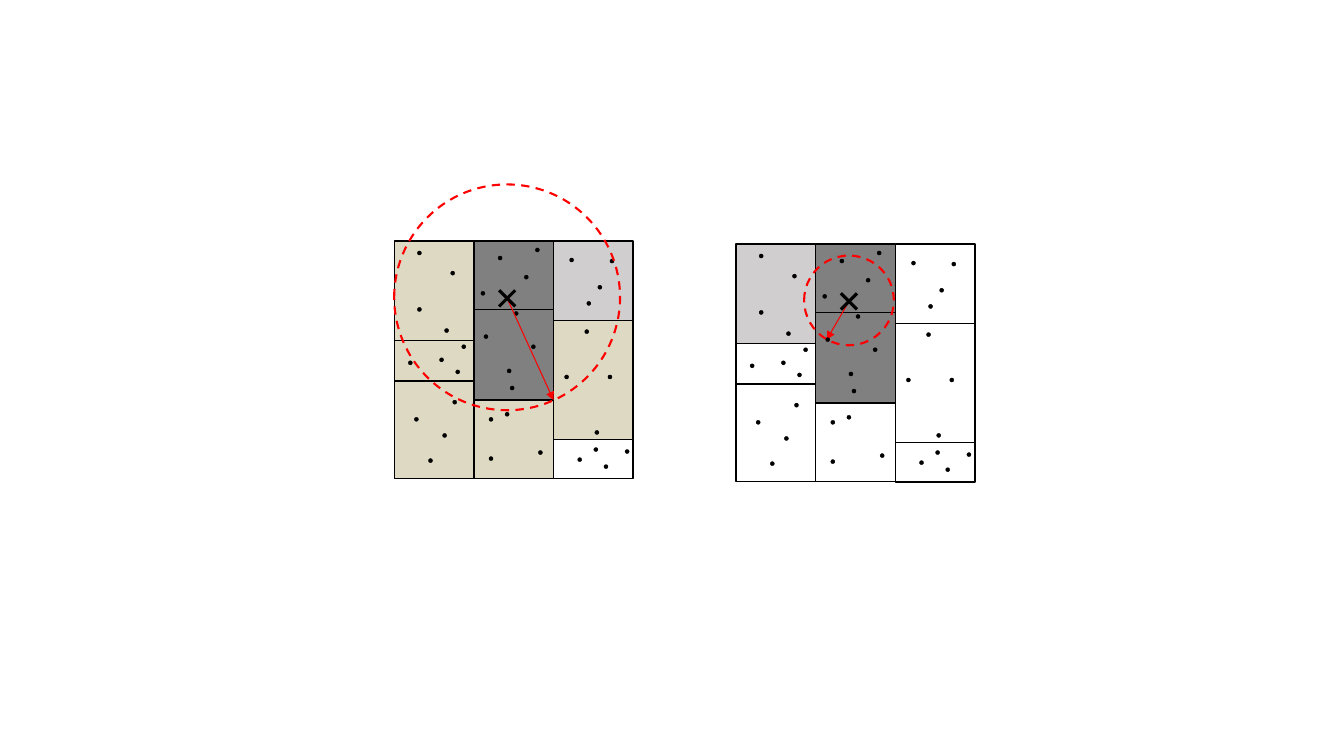
from itertools import pairwise
from lxml import etree
from pptx import Presentation
from pptx.dml.color import RGBColor
from pptx.enum.dml import MSO_LINE
from pptx.enum.shapes import MSO_CONNECTOR, MSO_SHAPE
from pptx.oxml.ns import qn
from pptx.util import Inches, Pt

RECT = MSO_SHAPE.RECTANGLE
DOT = MSO_SHAPE.FLOWCHART_CONNECTOR
LINE = MSO_CONNECTOR.STRAIGHT
DASH = MSO_LINE.DASH

BLACK = RGBColor(0, 0, 0)
WHITE = RGBColor(255, 255, 255)
RED = RGBColor(255, 0, 0)
DARK = RGBColor(0x80, 0x80, 0x80)
LIGHT = RGBColor(0xD0, 0xCE, 0xCE)
SAND = RGBColor(0xDD, 0xD9, 0xC3)

COL = 0.79
SIZE = 0.04
ARM = 0.08
HEART = (1.12, 0.56)
CROSS = (1.12, 0.57)
EDGES = [(0, 0.99, 1.39, 2.36), (0, 0.68, 1.58, 2.36), (0, 0.79, 1.97, 2.36)]
NEAR = (0.89, 0.93)
DOTS = [
    (0.23, 0.1), (0.56, 0.3), (0.23, 0.66), (0.5, 0.87),
    (0.14, 1.19), (0.45, 1.16), (0.61, 1.28), (0.67, 1.03),
    (0.2, 1.75), (0.48, 1.91), (0.34, 2.16), (0.58, 1.58),
    (0.86, 0.5), (1.03, 0.15), (1.29, 0.34), (1.4, 0.07),
    (1.19, 0.7), (1.36, 1.03), (1.12, 1.27), (1.15, 1.44),
    (0.94, 1.75), (1.1, 1.7), (1.43, 2.08), (0.94, 2.14),
    (1.74, 0.17), (2.02, 0.44), (2.14, 0.18), (1.91, 0.6),
    (1.69, 1.33), (2.12, 1.33), (1.89, 0.88), (1.99, 1.88),
    (1.82, 2.15), (1.98, 2.05), (2.08, 2.22), (2.29, 2.07),
]
PANELS = [
    (7.3, 2.42, 0.445, (0.9, 0.95),
     [(LIGHT, WHITE, WHITE), (DARK, DARK, WHITE), (WHITE, WHITE, WHITE)]),
    (3.91, 2.39, 1.12, (1.58, 1.58),
     [(SAND, SAND, SAND), (DARK, DARK, SAND), (LIGHT, SAND, WHITE)]),
]


def block(kind, x, y, w, h, fill, color, width):
    shape = group.shapes.add_shape(
        kind, Inches(left + x), Inches(top + y), Inches(w), Inches(h))
    shape.shadow.inherit = False
    if fill is None:
        shape.fill.background()
    else:
        shape.fill.solid()
        shape.fill.fore_color.rgb = fill
    shape.line.color.rgb = color
    shape.line.width = Pt(width)
    return shape


def stroke(start, end, color, width):
    line = group.shapes.add_connector(
        LINE, Inches(left + start[0]), Inches(top + start[1]),
        Inches(left + end[0]), Inches(top + end[1]))
    line.line.color.rgb = color
    line.line.width = Pt(width)
    etree.SubElement(line._element.spPr, qn("a:effectLst"))
    return line


prs = Presentation()
prs.slide_width = Inches(13.33)
prs.slide_height = Inches(7.5)
slide = prs.slides.add_slide(prs.slide_layouts[6])

for left, top, radius, tip, tones in PANELS:
    group = slide.shapes.add_group_shape()
    for col, (edges, fills) in enumerate(zip(EDGES, tones)):
        for (y, end), fill in zip(pairwise(edges), fills):
            block(RECT, col * COL, y, COL, end - y, fill, BLACK, 1)
    for x, y in DOTS:
        block(DOT, x, y, SIZE, SIZE, BLACK, BLACK, 0.25)

    ring = block(DOT, HEART[0] - radius, HEART[1] - radius,
                 2 * radius, 2 * radius, None, RED, 1.5)
    ring.line.dash_style = DASH
    arrow = stroke(CROSS, tip, RED, 0.75)
    etree.SubElement(arrow.line._get_or_add_ln(), qn("a:tailEnd"), type="triangle")
    block(DOT, *NEAR, SIZE, SIZE, BLACK, BLACK, 0.25)

    x, y = CROSS
    for rise in (ARM, -ARM):
        stroke((x - ARM, y + rise), (x + ARM, y - rise), BLACK, 2.25)

prs.save("out.pptx")
